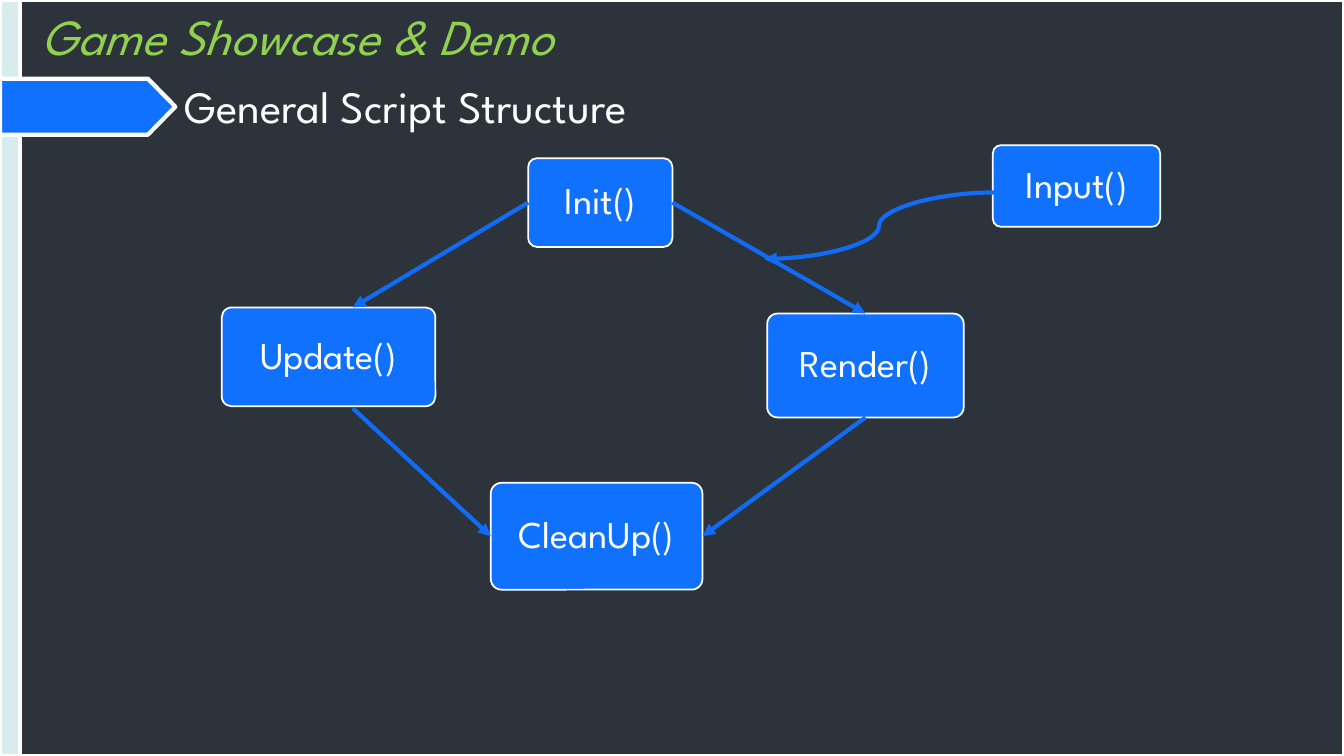
"""Build the script structure slide of the game showcase."""
from lxml.etree import SubElement
from pptx import Presentation
from pptx.dml.color import RGBColor
from pptx.enum.shapes import MSO_CONNECTOR, MSO_SHAPE
from pptx.enum.text import MSO_ANCHOR, PP_ALIGN
from pptx.oxml.ns import qn
from pptx.util import Pt

SLATE = RGBColor(0x2C, 0x33, 0x3A)
MINT = RGBColor(0xD6, 0xEC, 0xED)
BLUE = RGBColor(0x11, 0x71, 0xFF)
ARROW_BLUE = RGBColor(0x10, 0x6C, 0xF4)
WHITE = RGBColor(0xFF, 0xFF, 0xFF)
HEADING_WHITE = RGBColor(0xFE, 0xFF, 0xFF)
GREEN = RGBColor(0x92, 0xD0, 0x50)
FONT = "League Spartan"
TOP, LEFT, BOTTOM, RIGHT = range(4)


def write(frame, text, *, size, color, italic=False, align=PP_ALIGN.LEFT,
          anchor=MSO_ANCHOR.TOP, spacing=1.0):
    frame.word_wrap = True
    frame.vertical_anchor = anchor
    paragraph = frame.paragraphs[0]
    paragraph.alignment = align
    paragraph.line_spacing = spacing
    run = paragraph.add_run()
    run.text = text
    run.font.name = FONT
    run.font.size = Pt(size)
    run.font.italic = italic
    run.font.color.rgb = color


class Diagram:
    def __init__(self, slide):
        self.slide = slide
        self.shapes = slide.shapes
        slide.background.fill.solid()
        slide.background.fill.fore_color.rgb = SLATE

    def panel(self, preset, bounds, color, line_width=3, corner=None):
        panel = self.shapes.add_shape(preset, *map(Pt, bounds))
        panel.shadow.inherit = False
        panel.fill.solid()
        panel.fill.fore_color.rgb = color
        panel.line.color.rgb = WHITE
        panel.line.width = Pt(line_width)
        if corner is not None:
            panel.adjustments[0] = corner
        return panel

    def step(self, name, bounds):
        step = self.panel(MSO_SHAPE.ROUNDED_RECTANGLE, bounds, BLUE, 1.25, 0.1)
        frame = step.text_frame
        frame.margin_left = frame.margin_right = Pt(4)
        frame.margin_top = frame.margin_bottom = Pt(3)
        write(frame, name, size=27, color=WHITE, align=PP_ALIGN.CENTER,
              anchor=MSO_ANCHOR.MIDDLE, spacing=0.9)
        return step

    def arrow(self, start, end, source=None, target=None,
              route=MSO_CONNECTOR.STRAIGHT):
        arrow = self.shapes.add_connector(route, *map(Pt, start + end))
        if source:
            arrow.begin_connect(*source)
        if target:
            arrow.end_connect(*target)
        arrow.line.color.rgb = ARROW_BLUE
        arrow.line.width = Pt(3)
        SubElement(arrow.line._get_or_add_ln(), qn("a:tailEnd"), type="triangle")
        SubElement(arrow._element.spPr, qn("a:effectLst"))

    def heading(self, text, bounds, **style):
        box = self.shapes.add_textbox(*map(Pt, bounds))
        write(box.text_frame, text, **style)


def main():
    deck = Presentation()
    deck.slide_width, deck.slide_height = Pt(960), Pt(540)
    diagram = Diagram(deck.slides.add_slide(deck.slide_layouts[6]))

    diagram.panel(MSO_SHAPE.RECTANGLE, (0, 0, 960, 540), SLATE)
    diagram.panel(MSO_SHAPE.RECTANGLE, (0, 0, 14.4, 540), MINT)
    diagram.panel(MSO_SHAPE.PENTAGON, (0, 56.2, 125.3, 40), BLUE, corner=0.49)

    init = diagram.step("Init()", (377.3, 113, 103, 63.4))
    diagram.step("Input()", (709.2, 103.7, 119.5, 58.3))
    diagram.step("Update()", (158.4, 219.6, 152.6, 70.6))
    render = diagram.step("Render()", (548, 224, 140.4, 74.2))
    clean_up = diagram.step("CleanUp()", (350.6, 344.9, 151.2, 76.3))

    diagram.arrow((375.8, 149.8), (252, 219.6), source=(init, LEFT))
    diagram.arrow((252, 291.6), (350, 380.9), target=(clean_up, LEFT))
    diagram.arrow((612, 299.5), (504, 380.9), (render, BOTTOM), (clean_up, RIGHT))
    diagram.arrow((480.2, 147.6), (612, 222.5), (init, RIGHT), (render, TOP))
    diagram.arrow((709.9, 137.5), (545.8, 185), route=MSO_CONNECTOR.CURVE)

    diagram.heading("General Script Structure", (124.6, 44.6, 562.3, 61.2),
                    size=32, color=HEADING_WHITE, anchor=MSO_ANCHOR.MIDDLE)
    diagram.heading("Game Showcase & Demo", (22.3, 0, 631.4, 66.2),
                    size=36, color=GREEN, italic=True)
    deck.save("out.pptx")


if __name__ == "__main__":
    main()
